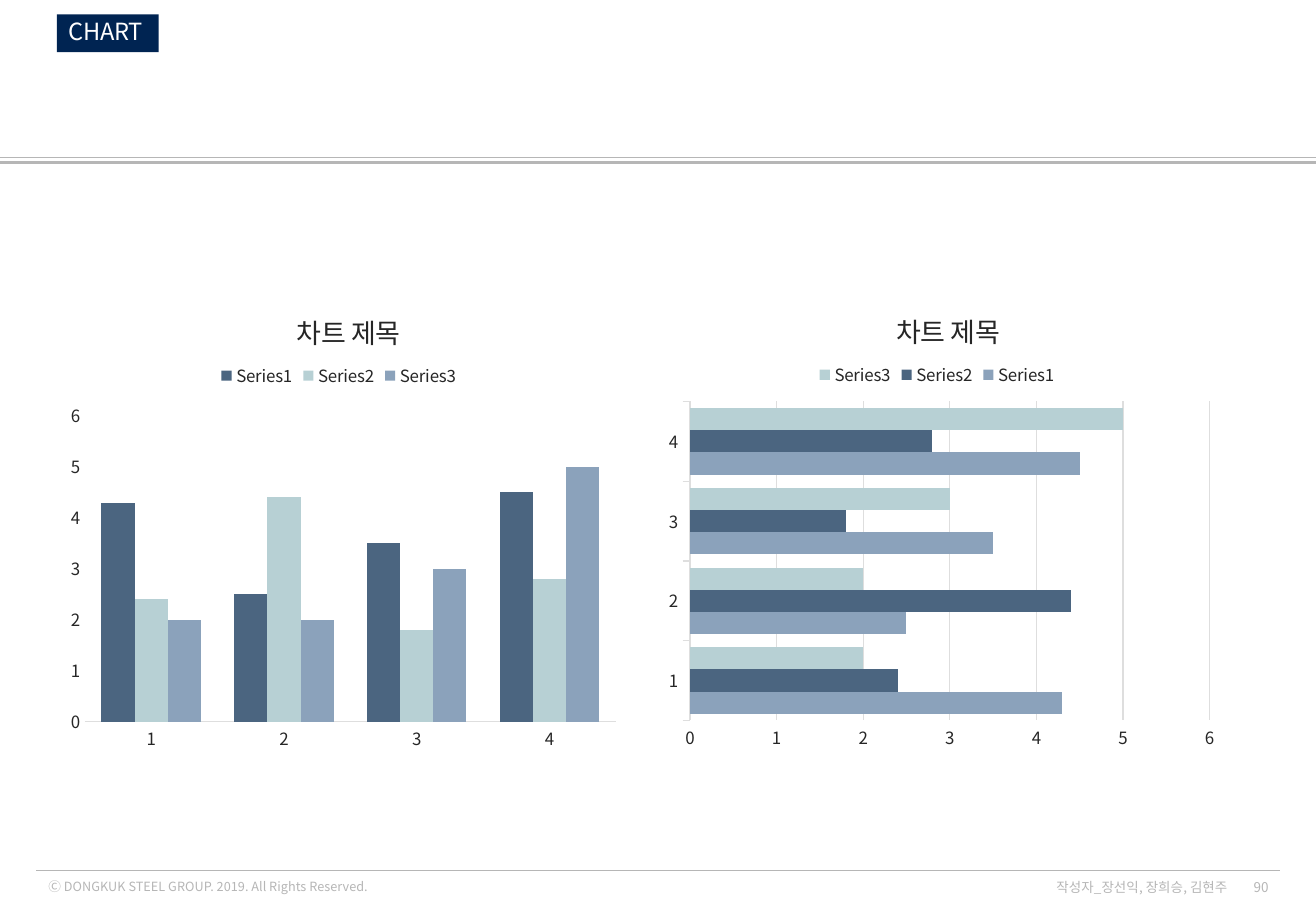
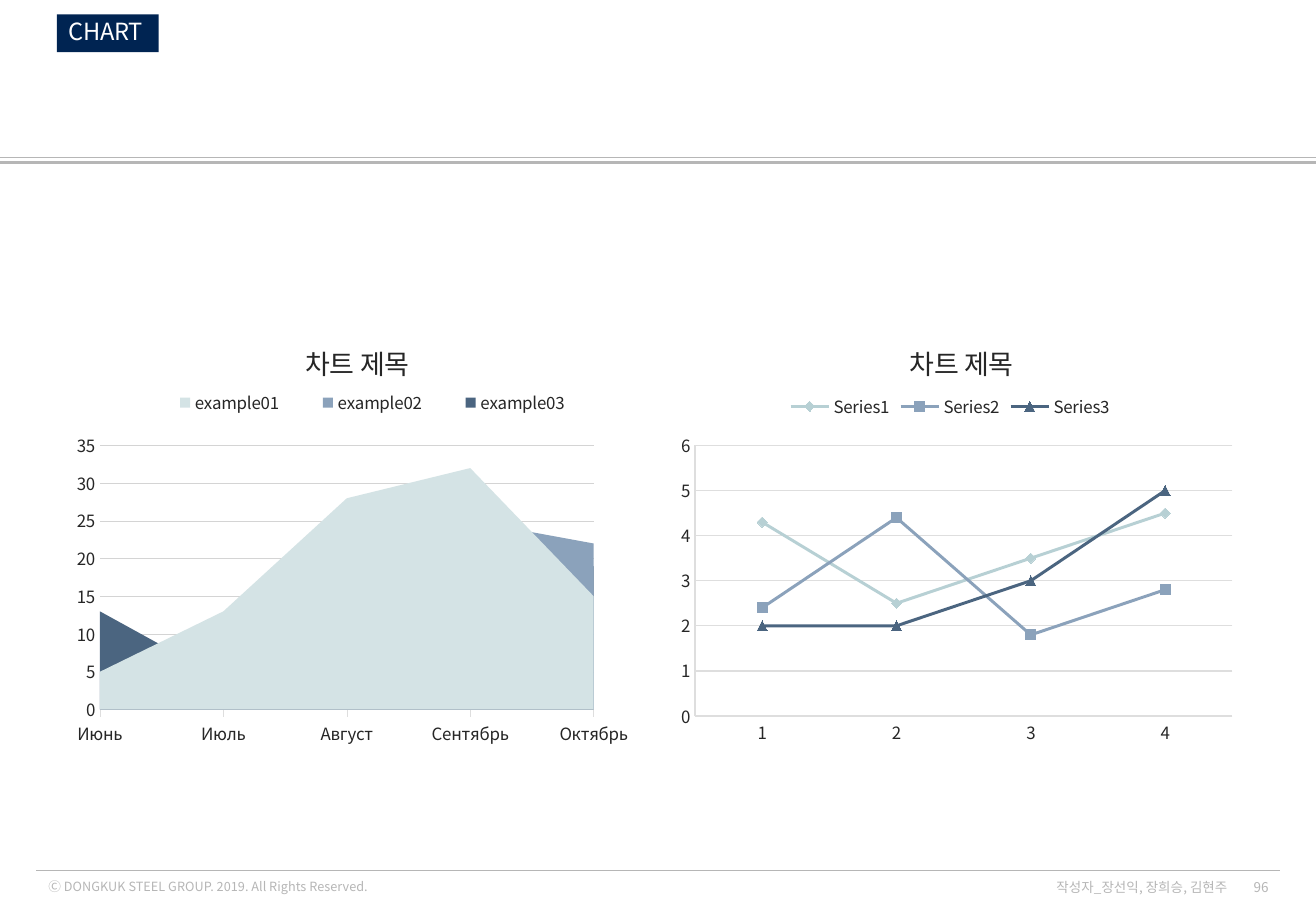
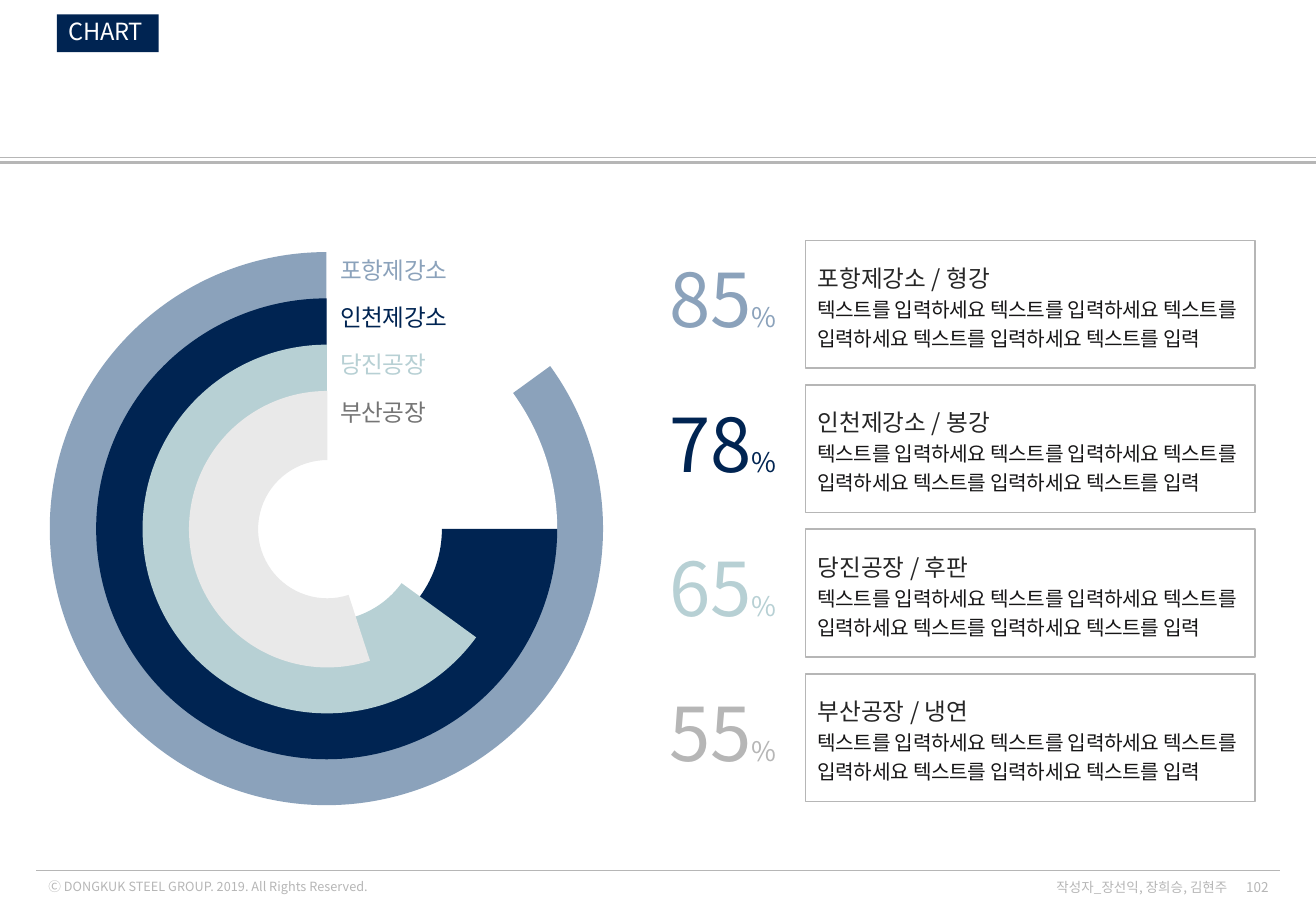
"""Build three chart slides with a shared frame."""
from lxml import etree
from pptx import Presentation
from pptx.chart.data import CategoryChartData
from pptx.dml.color import RGBColor
from pptx.enum.chart import XL_CHART_TYPE, XL_LEGEND_POSITION, XL_MARKER_STYLE, XL_TICK_MARK
from pptx.enum.shapes import MSO_CONNECTOR, MSO_SHAPE
from pptx.enum.text import MSO_ANCHOR, PP_ALIGN
from pptx.oxml import parse_xml
from pptx.oxml.ns import qn
from pptx.util import Cm, Pt

COLUMN, BAR = XL_CHART_TYPE.COLUMN_CLUSTERED, XL_CHART_TYPE.BAR_CLUSTERED
AREA, LINE = XL_CHART_TYPE.AREA, XL_CHART_TYPE.LINE_MARKERS
DOUGHNUT = XL_CHART_TYPE.DOUGHNUT
LEGEND_TOP = XL_LEGEND_POSITION.TOP
TICK_NONE, TICK_OUT = XL_TICK_MARK.NONE, XL_TICK_MARK.OUTSIDE
MARKERS = (XL_MARKER_STYLE.DIAMOND, XL_MARKER_STYLE.SQUARE, XL_MARKER_STYLE.TRIANGLE)
STRAIGHT, RECTANGLE = MSO_CONNECTOR.STRAIGHT, MSO_SHAPE.RECTANGLE
TOP, MIDDLE = MSO_ANCHOR.TOP, MSO_ANCHOR.MIDDLE
LEFT, CENTER, RIGHT = PP_ALIGN.LEFT, PP_ALIGN.CENTER, PP_ALIGN.RIGHT

FONT = "Noto Sans CJK KR"
COLORS = {
    "navy": "002452", "slate": "4B6580", "steel": "8BA2BB", "mist": "B7D0D4",
    "pale": "D4E3E5", "light": "E9E9E9", "grid": "DEDEDE", "faint": "D4D4D4",
    "grey": "B6B6B6", "dark_grey": "757575", "text": "262626", "body": "161516",
    "white": "FFFFFF",
}
CHART_TITLE = "차트 제목"
TITLE_PLACE = (41, 5.1)
NUMBERS = ("1", "2", "3", "4")
SERIES_VALUES = {
    "Series1": (4.3, 2.5, 3.5, 4.5),
    "Series2": (2.4, 4.4, 1.8, 2.8),
    "Series3": (2, 2, 3, 5),
}
EXAMPLE_VALUES = {
    "example01": (5, 13, 28, 32, 15),
    "example02": (0, 8, 12, 25, 22),
    "example03": (13, 4, 21, 13, 19),
}
MONTHS = ("Июнь", "Июль", "Август", "Сентябрь", "Октябрь")
BODY = "텍스트를 입력하세요 텍스트를 입력하세요 텍스트를 입력하세요 텍스트를 입력하세요 텍스트를 입력"
PLANTS = (
    ("포항제강소", "형강", 85, 85, 87, "steel", "steel", "steel"),
    ("인천제강소", "봉강", 78, 75, 84, "navy", "navy", "navy"),
    ("당진공장", "후판", 65, 65, 81, "mist", "mist", "mist"),
    ("부산공장", "냉연", 55, 55, 73, "light", "grey", "dark_grey"),
)
RING_CENTER = (6.86, 11.08)
ROW_STEP = 3.02


def color(name):
    return RGBColor.from_string(COLORS[name])


def apply(target, values):
    for name, value in values.items():
        setattr(target, name, value)


def style_font(font, size, color_name, spacing=None):
    apply(font, {"name": FONT, "size": Pt(size), "bold": False})
    font.color.rgb = color(color_name)
    properties = font._rPr
    if spacing is not None:
        properties.set("spc", str(spacing))
    etree.SubElement(properties, qn("a:ea")).set("typeface", FONT)


def style_line(line, color_name, width):
    if color_name is None:
        line.fill.background()
    else:
        line.color.rgb = color(color_name)
        line.width = Pt(width)


def add_rule(slide, left, right, top, width):
    rule = slide.shapes.add_connector(STRAIGHT, Cm(left), Cm(top), Cm(right), Cm(top))
    style_line(rule.line, "grey", width)
    etree.SubElement(rule._element.spPr, qn("a:effectLst"))


def write_text(shape, paragraphs, align=LEFT, anchor=TOP, line_spacing=None, wrap=True):
    """Fill a shape with paragraphs, each a list of (text, size, colour, spacing) runs."""
    frame = shape.text_frame
    apply(frame, {"word_wrap": wrap, "vertical_anchor": anchor})
    for index, runs in enumerate(paragraphs):
        paragraph = frame.add_paragraph() if index else frame.paragraphs[0]
        apply(paragraph, {"alignment": align, "line_spacing": line_spacing})
        for text, *style in runs:
            run = paragraph.add_run()
            run.text = text
            style_font(run.font, *style)


def add_text(slide, place, runs, **options):
    shape = slide.shapes.add_textbox(*map(Cm, place))
    write_text(shape, [runs], **options)


def add_box(slide, place, fill, line, paragraphs, **options):
    shape = slide.shapes.add_shape(RECTANGLE, *map(Cm, place))
    shape.shadow.inherit = False
    shape.fill.solid()
    shape.fill.fore_color.rgb = color(fill)
    style_line(shape.line, line, 1)
    write_text(shape, paragraphs, anchor=MIDDLE, **options)


def add_frame(presentation, page):
    """Add a slide with the shared rules, tag and footer."""
    slide = presentation.slides.add_slide(presentation.slide_layouts[6])
    add_rule(slide, 0, 27.5, 3.4, 1.5)
    add_rule(slide, 0, 27.5, 3.3, 0.5)
    add_rule(slide, 0.76, 26.75, 18.21, 0.5)
    add_text(slide, (0.76, 18.24, 8.81, 0.58),
             [("Ⓒ DONGKUK STEEL GROUP. 2019. All Rights Reserved.", 7.5, "grey")], anchor=MIDDLE)
    add_box(slide, (1.19, 0.3, 2.13, 0.79), "navy", None,
            [[("CHART", 14, "white", -20)]], line_spacing=0.9, wrap=False)
    for place, text in (((25.73, 18.34, 1.04, 0.41), str(page)),
                        ((21.64, 18.34, 4.27, 0.41), "작성자_장선익, 장희승, 김현주")):
        add_text(slide, place, [(text, 8, "grey")], align=RIGHT, anchor=MIDDLE)
    return slide


def set_layout(element, index, place, inner=False):
    """Place a chart part by percentages of the chart area."""
    for old_layout in element.findall(qn("c:layout")):
        element.remove(old_layout)
    layout = element.makeelement(qn("c:layout"), {})
    element.insert(index, layout)
    manual = etree.SubElement(layout, qn("c:manualLayout"))
    settings = [("layoutTarget", "inner")] if inner else []
    settings += [("xMode", "edge"), ("yMode", "edge")]
    settings += [(name, str(round(value / 100, 4))) for name, value in zip("xywh", place)]
    for name, value in settings:
        etree.SubElement(manual, qn("c:" + name)).set("val", value)


def add_chart(slide, kind, place, categories, values, plot_place):
    data = CategoryChartData()
    data.categories = categories
    for name, numbers in values.items():
        data.add_series(name, numbers)
    chart = slide.shapes.add_chart(kind, *map(Cm, place), data).chart
    style_font(chart.font, 10, "text")
    chart_space = chart._chartSpace
    chart_space.chart.addnext(parse_xml(
        '<c:spPr xmlns:c="http://schemas.openxmlformats.org/drawingml/2006/chart"'
        ' xmlns:a="http://schemas.openxmlformats.org/drawingml/2006/main">'
        '<a:noFill/><a:ln><a:noFill/></a:ln></c:spPr>'))
    set_layout(chart_space.chart.plotArea, 0, plot_place, inner=True)
    return chart


def style_axis(axis, tick, line, width, grid=None):
    apply(axis, {"major_tick_mark": tick, "minor_tick_mark": TICK_NONE,
                 "has_major_gridlines": grid is not None})
    style_font(axis.tick_labels.font, 10, "text")
    style_line(axis.format.line, line, width)
    if grid:
        style_line(axis.major_gridlines.format.line, grid, width)


def add_axis_chart(slide, kind, place, plot_place, legend_place, fills, categories=NUMBERS,
                   values=SERIES_VALUES, tick=TICK_NONE, width=0.75, grid="grid",
                   value_line=None, maximum=6, step=1, gap=None):
    """Add a titled chart with a top legend and two axes."""
    chart = add_chart(slide, kind, place, categories, values, plot_place)
    chart.has_title = True
    paragraph = chart.chart_title.text_frame.paragraphs[0]
    run = paragraph.add_run()
    run.text = CHART_TITLE
    style_font(run.font, 16, "text")
    set_layout(chart.chart_title._element, 1, TITLE_PLACE)
    chart.has_legend = True
    apply(chart.legend, {"position": LEGEND_TOP, "include_in_layout": False})
    style_font(chart.legend.font, 10, "text")
    set_layout(chart.legend._element, 1, legend_place)
    style_axis(chart.category_axis, tick, "grid", width)
    style_axis(chart.value_axis, TICK_NONE, value_line, width, grid)
    apply(chart.value_axis, {"minimum_scale": 0, "maximum_scale": maximum, "major_unit": step})
    plot = chart.plots[0]
    plot.vary_by_categories = False
    if gap is not None:
        apply(plot, {"gap_width": gap, "overlap": 0})
    for series, fill, marker in zip(plot.series, fills, MARKERS):
        target = series.format
        if kind == LINE:
            series.smooth = False
            style_line(series.format.line, fill, 1.75)
            apply(series.marker, {"style": marker, "size": 6})
            target = series.marker.format
            style_line(target.line, fill, 0.75)
        target.fill.solid()
        target.fill.fore_color.rgb = color(fill)


def add_ring(slide, diameter, share, hole, fill, rest_fill):
    left, top = (round(center - diameter / 2, 2) for center in RING_CENTER)
    chart = add_chart(slide, DOUGHNUT, (left, top, diameter, diameter), ("1", "2"),
                      {"Series 1": (100 - share, share)}, (1.5, 1.1, 96.4, 97.4))
    apply(chart, {"has_title": False, "has_legend": False})
    plot = chart.plots[0]
    plot.has_data_labels = False
    plot._element.find(qn("c:holeSize")).set("val", str(hole))
    for index, name in enumerate((rest_fill, fill)):
        point_format = plot.series[0].points[index].format
        style_line(point_format.line, None, 0)
        if name is None:
            point_format.fill.background()
        else:
            point_format.fill.solid()
            point_format.fill.fore_color.rgb = color(name)


def build_bar_slide(presentation):
    slide = add_frame(presentation, 90)
    add_axis_chart(slide, COLUMN, (1.24, 5.87, 11.86, 10.03), (4.5, 28.2, 93.6, 63.8),
                   (27.6, 16.3), ("slate", "mist", "steel"), grid=None, gap=100)
    add_axis_chart(slide, BAR, (13.77, 5.84, 11.86, 10.03), (5.5, 25.5, 91.6, 66.5),
                   (27.4, 16.4), ("steel", "slate", "mist"), tick=TICK_OUT, gap=60)


def build_trend_slide(presentation):
    slide = add_frame(presentation, 96)
    add_axis_chart(slide, AREA, (1.37, 6.55, 11.99, 9.22), (6, 30, 86.1, 59.9),
                   (13.3, 15.8, 80.4, 9), ("pale", "steel", "slate"), categories=MONTHS,
                   values=EXAMPLE_VALUES, tick=TICK_OUT, width=0.25, grid="faint",
                   maximum=35, step=5)
    add_axis_chart(slide, LINE, (14, 6.55, 11.99, 9.22), (4.4, 30, 93.7, 61.4),
                   (20.1, 17.3), ("mist", "steel", "slate"), value_line="grid")


def build_ring_slide(presentation):
    slide = add_frame(presentation, 102)
    for index, (plant, product, percent, share, hole, fill, number, label) in enumerate(PLANTS):
        add_ring(slide, 12 - 2 * index, share, hole, fill, "white" if index == 1 else None)
        row_offset = index * ROW_STEP
        add_text(slide, (13.39, 5.18 + row_offset, 3.45, 2.13),
                 [(str(percent), 44, number), ("%", 16, number)], align=CENTER)
        add_box(slide, (16.84, 5.03 + row_offset, 9.4, 2.67), "white", "grey",
                [[(f"{plant} / {product}", 14, "text")], [(BODY, 12, "body", -20)]],
                line_spacing=1.2)
    for index, plant in enumerate(PLANTS):
        add_text(slide, (6.86, 5.1 + index * 0.99, 4.09, 0.91),
                 [(plant[0], 14, plant[-1], -20)], line_spacing=1.2)


def main():
    presentation = Presentation()
    apply(presentation, {"slide_width": Cm(27.51), "slide_height": Cm(19.05)})
    build_bar_slide(presentation)
    build_trend_slide(presentation)
    build_ring_slide(presentation)
    presentation.save("out.pptx")


if __name__ == "__main__":
    main()
